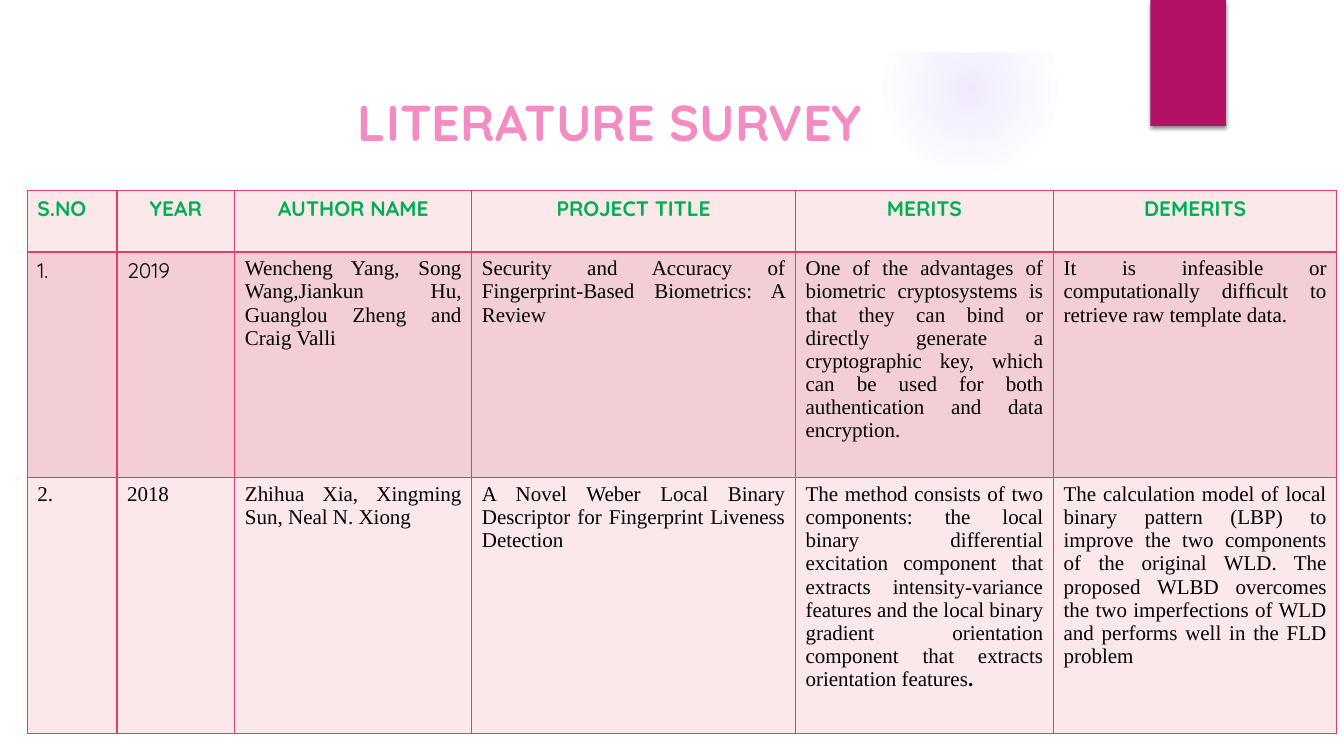
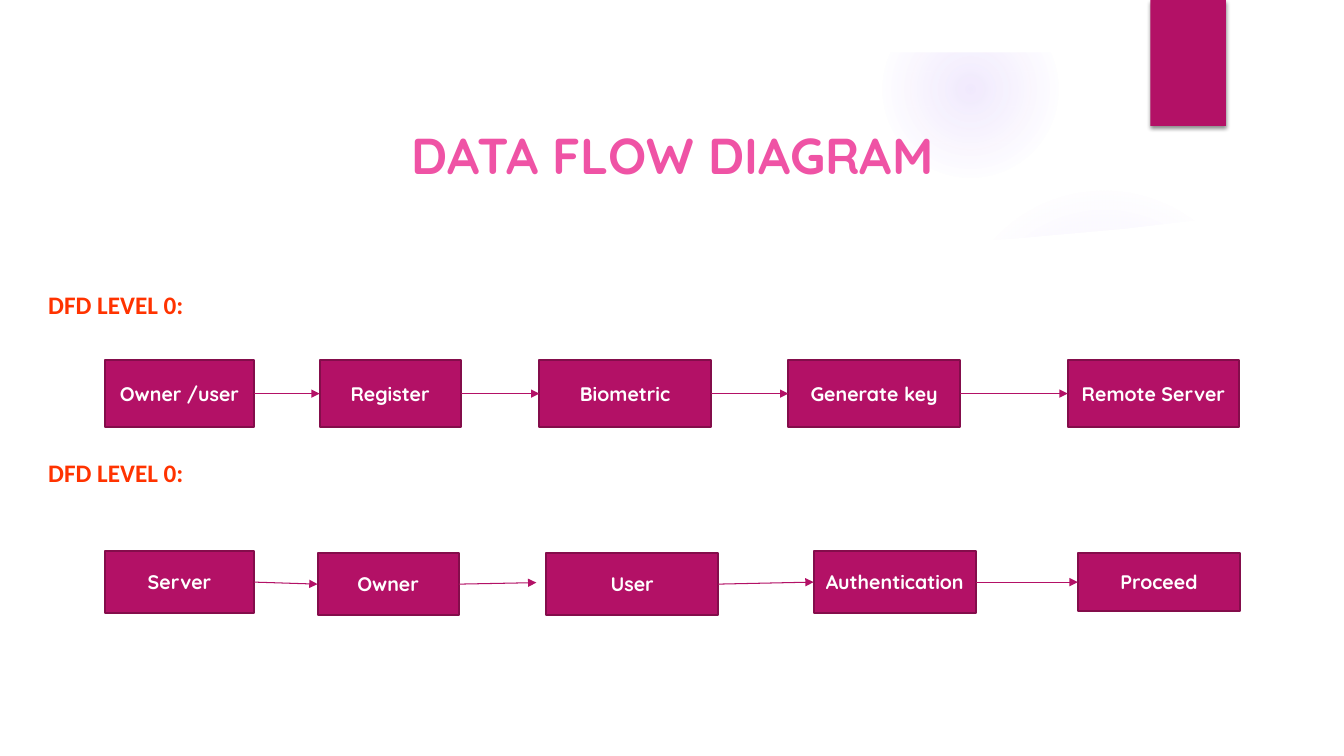
"""Build two slides on fingerprint biometrics: a survey table and a data flow."""
from lxml import etree
from pptx import Presentation
from pptx.dml.color import RGBColor
from pptx.enum.shapes import MSO_CONNECTOR, MSO_SHAPE
from pptx.enum.text import MSO_ANCHOR, MSO_AUTO_SIZE, PP_ALIGN
from pptx.oxml import parse_xml
from pptx.oxml.ns import qn
from pptx.util import Inches, Pt

RECT, OVAL = MSO_SHAPE.RECTANGLE, MSO_SHAPE.OVAL
LEFT, MID, JUST = PP_ALIGN.LEFT, PP_ALIGN.CENTER, PP_ALIGN.JUSTIFY
NS = 'xmlns:a="http://schemas.openxmlformats.org/drawingml/2006/main"'
HEAD, SERIF, PLAIN = "Quicksand", "Times New Roman", "Calibri"

HUES = {
    "white": "FFFFFF", "black": "000000", "glow": "9B6BF2", "plum": "B31166",
    "edge": "840D4B", "rose": "F48CC3", "pink": "EF53A5", "green": "00B050",
    "rule": "E33D6F", "pale": "FAE8EB", "blush": "F4CED5", "red": "FF3300",
}

GLOWS = [
    (9.41, 1.83, 3.08, [(0, 7), (36, 6), (69, 0)]),
    (8.75, 0.01, 1.75, [(0, 14), (36, 7), (73, 0)]),
]
WAVE = [
    (0.5, 2.04), (2.49, 2.27), (4.44, 2.41), (6.82, 2.48), (8.67, 2.45),
    (10.04, 2.37), (11.16, 2.27), (12, 2.17), (12.84, 2.04), (12.84, 7), (0.5, 7),
]

COLS = [0.89, 1.17, 2.35, 3.21, 2.56, 2.81]
ROWS = [0.61, 2.24, 2.54]
SURVEY = [
    ["S.NO", "YEAR", "AUTHOR NAME", "PROJECT TITLE", "MERITS", "DEMERITS"],
    ["1.", "2019",
     "Wencheng Yang, Song Wang,Jiankun Hu, Guanglou Zheng and Craig Valli",
     "Security and Accuracy of Fingerprint-Based Biometrics: A Review",
     "One of the advantages of biometric cryptosystems is that they can bind or "
     "directly generate a cryptographic key, which can be used for both "
     "authentication and data encryption.",
     "It is infeasible or computationally difﬁcult to retrieve raw template data."],
    ["2.", "2018", "Zhihua Xia, Xingming Sun, Neal N. Xiong",
     "A Novel Weber Local Binary Descriptor for Fingerprint Liveness Detection",
     "The method consists of two components: the local binary differential "
     "excitation component that extracts intensity-variance features and the "
     "local binary gradient orientation component that extracts orientation features",
     "The calculation model of local binary pattern (LBP) to improve the two "
     "components of the original WLD. The proposed WLBD overcomes the two "
     "imperfections of WLD and performs well in the FLD problem"],
]
BOLD_END = {(2, 4): "."}

LEVELS = [
    {"label": "DFD LEVEL 0:", "top": 2.82, "stops": {}, "nodes": [
        ("Owner /user", 1.04, 3.57, 1.48, 0.67),
        ("Register", 3.17, 3.57, 1.4, 0.67),
        ("Biometric", 5.35, 3.57, 1.7, 0.67),
        ("Generate key", 7.82, 3.57, 1.7, 0.67),
        ("Remote Server", 10.59, 3.57, 1.7, 0.67)]},
    {"label": "DFD LEVEL 0:", "top": 4.49, "stops": {1: (5.32, 5.78)}, "nodes": [
        ("Server", 1.04, 5.47, 1.48, 0.61),
        ("Owner", 3.15, 5.49, 1.4, 0.61),
        ("User", 5.42, 5.49, 1.7, 0.61),
        ("Authentication", 8.07, 5.47, 1.61, 0.61),
        ("Proceed", 10.69, 5.49, 1.61, 0.57)]},
]


def hue(name):
    return RGBColor.from_string(HUES[name])


def style(run, font, size, tint, bold=True):
    run.font.name, run.font.size, run.font.bold = font, Pt(size), bold
    run.font.color.rgb = hue(tint)


def write(frame, text, font, size, tint, align=LEFT, bold=True):
    frame.text = text
    frame.word_wrap = True
    para = frame.paragraphs[0]
    para.alignment = align
    style(para.runs[0], font, size, tint, bold)
    return para


def paint(shape, tint, edge=None):
    shape.shadow.inherit = False
    shape.fill.solid()
    shape.fill.fore_color.rgb = hue(tint)
    if edge:
        shape.line.color.rgb = hue(edge)
        shape.line.width = Pt(1.5)
    else:
        shape.line.fill.background()
    return shape


def block(shapes, kind, box, tint, edge=None):
    return paint(shapes.add_shape(kind, *map(Inches, box)), tint, edge)


def fade(shape, stops):
    steps = "".join(
        f'<a:gs pos="{pos * 1000}"><a:srgbClr val="{HUES["glow"]}">'
        f'<a:alpha val="{alpha * 1000}"/></a:srgbClr></a:gs>' for pos, alpha in stops)
    grad = parse_xml(
        f'<a:gradFill {NS} rotWithShape="1"><a:gsLst>{steps}</a:gsLst><a:path path="circle">'
        '<a:fillToRect l="50000" t="50000" r="50000" b="50000"/></a:path></a:gradFill>')
    props = shape._element.spPr
    props.replace(props.find(qn("a:solidFill")), grad)


def drop(shape):
    cast = parse_xml(
        f'<a:outerShdw {NS} blurRad="{Pt(3)}" dist="{Pt(2)}" dir="5400000">'
        f'<a:srgbClr val="{HUES["black"]}"><a:alpha val="45000"/></a:srgbClr></a:outerShdw>')
    shape._element.spPr.find(qn("a:effectLst")).append(cast)


def dress(slide):
    """Draw the shared backdrop and move it to the layout."""
    shapes, parts = slide.shapes, []
    for left, top, size, stops in GLOWS:
        glow = block(shapes, OVAL, (left, top, size, size), "glow")
        fade(glow, stops)
        parts.append(glow)
    dots = [(Inches(x), Inches(y)) for x, y in WAVE]
    pen = shapes.build_freeform(*dots[0])
    pen.add_line_segments(dots[1:], close=True)
    parts.append(paint(pen.convert_to_shape(), "white"))
    parts.append(block(shapes, RECT, (0, 0, 13.33, 0.52), "white"))
    band = block(shapes, RECT, (11.41, 0, 0.75, 1.25), "plum")
    drop(band)
    parts.append(band)
    tree = slide.slide_layout.shapes._spTree
    for part in parts:
        tree.append(part._element)


def head(slide, text, box, tint):
    title = slide.shapes.title
    title.left, title.top, title.width, title.height = map(Inches, box)
    write(title.text_frame, text, HEAD, 36, tint, MID)
    title.text_frame.auto_size = MSO_AUTO_SIZE.NONE
    title.text_frame.vertical_anchor = MSO_ANCHOR.MIDDLE


def rule(cell):
    props = cell._tc.get_or_add_tcPr()
    for spot, side in enumerate(("lnL", "lnR", "lnT", "lnB")):
        props.insert(spot, parse_xml(
            f'<a:{side} {NS} w="{Pt(1)}"><a:solidFill><a:srgbClr val="{HUES["rule"]}"/>'
            f'</a:solidFill></a:{side}>'))


def grid(slide):
    box = (0.27, 1.89, sum(COLS), sum(ROWS))
    table = slide.shapes.add_table(len(ROWS), len(COLS), *map(Inches, box)).table
    table.first_row = table.horz_banding = False
    for col, width in zip(table.columns, COLS):
        col.width = Inches(width)
    for row, tall in zip(table.rows, ROWS):
        row.height = Inches(tall)
    for r, line in enumerate(SURVEY):
        for c, text in enumerate(line):
            cell, top = table.cell(r, c), r == 0
            font = HEAD if top or (r == 1 and c < 2) else SERIF
            align = LEFT if c == 0 else MID if top else JUST
            para = write(cell.text_frame, text, font, 15,
                         "green" if top else "black", align, top)
            if (r, c) in BOLD_END:
                run = para.add_run()
                run.text = BOLD_END[r, c]
                style(run, font, 15, "black")
            cell.fill.solid()
            cell.fill.fore_color.rgb = hue("blush" if r == 1 else "pale")
            rule(cell)


def link(slide, start, end, stop):
    x, y = map(Inches, stop or (0, 0))
    line = slide.shapes.add_connector(MSO_CONNECTOR.STRAIGHT, 0, 0, x, y)
    line.begin_connect(start, 3)
    if not stop:
        line.end_connect(end, 1)
    line.line.color.rgb = hue("plum")
    line.line.width = Pt(0.75)
    props = line._element.spPr
    etree.SubElement(props.find(qn("a:ln")), qn("a:tailEnd"), type="triangle")
    etree.SubElement(props, qn("a:effectLst"))


def flow(slide, level):
    label = slide.shapes.add_textbox(*map(Inches, (0.38, level["top"], 12.43, 0.4)))
    write(label.text_frame, level["label"], PLAIN, 18, "red")
    nodes = []
    for text, *box in level["nodes"]:
        node = block(slide.shapes, RECT, box, "plum", "edge")
        frame = node.text_frame
        write(frame, text, HEAD, 14, "white", MID)
        frame.margin_left = frame.margin_right = Inches(0.05)
        frame.vertical_anchor = MSO_ANCHOR.MIDDLE
        nodes.append(node)
    for i, (start, end) in enumerate(zip(nodes, nodes[1:])):
        link(slide, start, end, level["stops"].get(i))


def main():
    deck = Presentation()
    deck.slide_width, deck.slide_height = Inches(13.33), Inches(7.5)
    layout = deck.slide_layouts[5]

    survey = deck.slides.add_slide(layout)
    dress(survey)
    head(survey, "LITERATURE SURVEY", (1.26, 0.75, 9.58, 0.91), "rose")
    grid(survey)

    data = deck.slides.add_slide(layout)
    head(data, "DATA FLOW DIAGRAM", (1.88, 1.15, 9.58, 0.77), "pink")
    for level in LEVELS:
        flow(data, level)
    deck.save("out.pptx")


if __name__ == "__main__":
    main()
